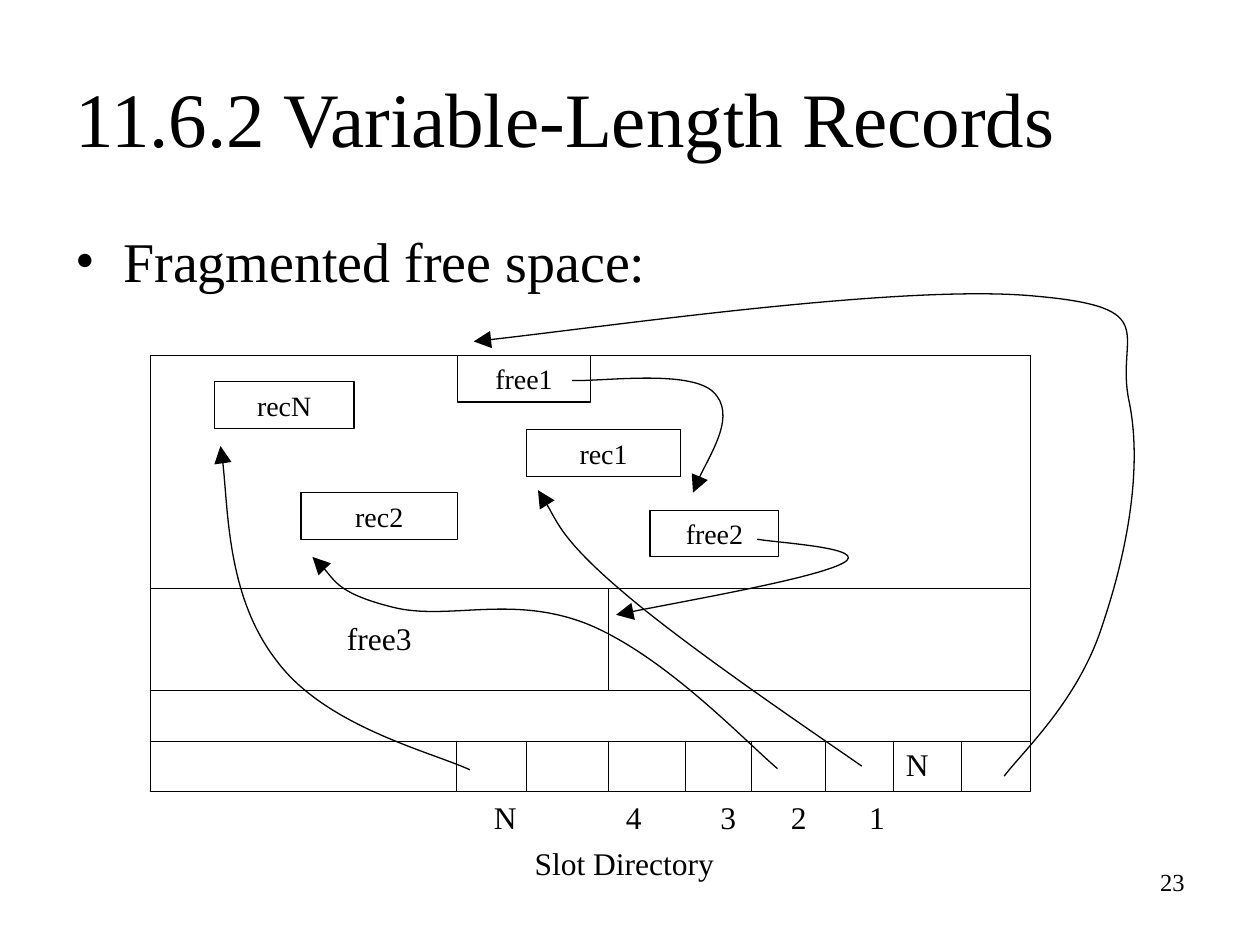
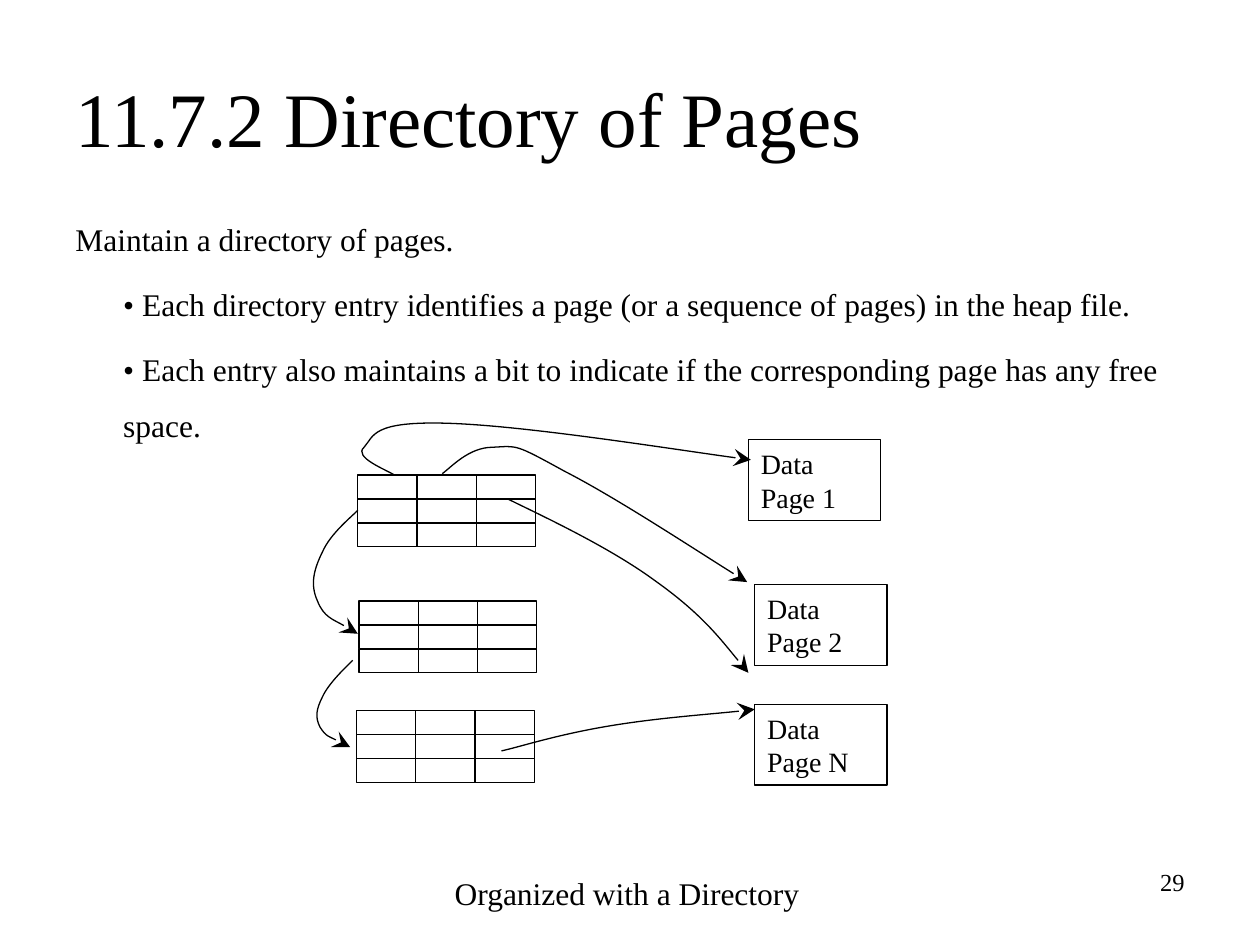
from lxml.etree import SubElement
from pptx import Presentation
from pptx.dml.color import RGBColor
from pptx.enum.shapes import MSO_SHAPE
from pptx.enum.text import MSO_ANCHOR, MSO_AUTO_SIZE, PP_ALIGN
from pptx.oxml import parse_xml
from pptx.oxml.ns import nsdecls, qn
from pptx.util import Inches, Pt

FONT = "Times New Roman"
BLACK = "000000"
LINE_WIDTH = Pt(0.75)
CELL_BORDER = Pt(0.45)
NO_STYLE_NO_GRID = "{2D5ABB26-0587-4C30-8999-92F81FD0307C}"


def write(frame, lines, size, alignment=PP_ALIGN.LEFT, anchor=MSO_ANCHOR.TOP):
    """Fill a text frame or table cell with one paragraph per line."""
    frame.word_wrap = True
    frame.vertical_anchor = anchor
    text_frame = getattr(frame, "text_frame", frame)
    for index, line in enumerate(lines):
        paragraph = text_frame.paragraphs[0] if index == 0 else text_frame.add_paragraph()
        paragraph.alignment = alignment
        run = paragraph.add_run()
        run.text = line
        run.font.name = FONT
        run.font.size = Pt(size)
        run.font.color.rgb = RGBColor.from_string(BLACK)


def outline(shape):
    """Leave a shape unfilled, with a thin black line and no shadow."""
    shape.shadow.inherit = False
    shape.fill.background()
    shape.line.color.rgb = RGBColor.from_string(BLACK)
    shape.line.width = LINE_WIDTH


presentation = Presentation()
presentation.slide_width = Inches(10)
presentation.slide_height = Inches(7.5)
title_only = presentation.slide_layouts[5]

# Titles and page numbers
slides = []
for title_text, page_number in [
    ("11.6.2 Variable-Length Records", "23"),
    ("11.7.2 Directory of Pages", "29"),
]:
    slide = presentation.slides.add_slide(title_only)
    title = slide.shapes.title
    title.left, title.top = Inches(0.5), Inches(0.3)
    title.width, title.height = Inches(9), Inches(1.25)
    write(title.text_frame, [title_text], 44, anchor=MSO_ANCHOR.MIDDLE)
    title.text_frame.auto_size = MSO_AUTO_SIZE.NONE
    number = slide.shapes.add_textbox(Inches(7.17), Inches(6.83), Inches(2.33), Inches(0.52))
    write(number.text_frame, [page_number], 14, PP_ALIGN.RIGHT)
    slides.append(slide)
records_slide, directory_slide = slides

# Body text and captions
body = records_slide.shapes.add_textbox(Inches(0.5), Inches(1.75), Inches(9), Inches(4.95))
write(body.text_frame, ["Fragmented free space:"], 32)
paragraph = body.text_frame.paragraphs[0]
paragraph.space_before = Pt(8)
properties = paragraph._p.get_or_add_pPr()
properties.set("marL", str(Inches(0.38)))
properties.set("indent", str(-Inches(0.38)))
SubElement(properties, qn("a:buFont"), typeface=FONT)
SubElement(properties, qn("a:buChar"), char="•")

body = directory_slide.shapes.add_textbox(Inches(0.5), Inches(1.55), Inches(9), Inches(4.95))
write(body.text_frame, [
    "Maintain a directory of pages.",
    "• Each directory entry identifies a page (or a sequence of pages) in the heap file.",
    "• Each entry also maintains a bit to indicate if the corresponding page has any free space.",
], 18)
for index, paragraph in enumerate(body.text_frame.paragraphs):
    paragraph.line_spacing = 1.5
    paragraph.space_before = Pt(4.5)
    if index > 0:
        paragraph._p.get_or_add_pPr().set("marL", str(Inches(0.38)))

for slide, caption, left, top, width, alignment in [
    (records_slide, "Slot Directory", 3.07, 6.65, 3.77, PP_ALIGN.CENTER),
    (directory_slide, "Organized with a Directory", 3.51, 6.89, 3.62, PP_ALIGN.LEFT),
]:
    box = slide.shapes.add_textbox(Inches(left), Inches(top), Inches(width), Inches(0.4))
    write(box.text_frame, [caption], 18, alignment)

# Page layout table with the slot directory in its fourth row
column_widths = [2.43, 0.56, 0.65, 0.61, 0.52, 0.59, 0.54, 0.54, 0.55]
row_heights = [1.85, 0.81, 0.4, 0.4, 0.43]
row_sides = ["LRT", "LRTB", "LRB", "LRTB", "T"]
free3_columns = 3
page_table = records_slide.shapes.add_table(
    len(row_heights), len(column_widths), Inches(1.19), Inches(2.82), Inches(7), Inches(3.91)
).table
page_table.first_row = page_table.horz_banding = False
page_table._tbl.tblPr.find(qn("a:tableStyleId")).text = NO_STYLE_NO_GRID
for column, width in zip(page_table.columns, column_widths):
    column.width = Inches(width)
for row_index, height in enumerate(row_heights):
    page_table.rows[row_index].height = Inches(height)
    for column_index, cell in enumerate(page_table.rows[row_index].cells):
        beside_free3 = row_index == 1 and column_index >= free3_columns
        sides = "LR" if beside_free3 else row_sides[row_index]
        cell.margin_top = cell.margin_bottom = Inches(0.04)
        cell_properties = cell._tc.get_or_add_tcPr()
        for position, side in enumerate(sides):
            cell_properties.insert(position, parse_xml(
                f'<a:ln{side} {nsdecls("a")} w="{CELL_BORDER}"><a:solidFill>'
                f'<a:srgbClr val="{BLACK}"/></a:solidFill></a:ln{side}>'
            ))
        cell.fill.background()
for row_index, first, last in [(0, 0, 8), (1, 0, 2), (1, 3, 8), (2, 0, 8), (4, 0, 8)]:
    page_table.cell(row_index, first).merge(page_table.cell(row_index, last))
write(page_table.cell(1, 0), ["free3"], 18, PP_ALIGN.CENTER, MSO_ANCHOR.MIDDLE)
write(page_table.cell(3, 7), ["N"], 18, anchor=MSO_ANCHOR.MIDDLE)
slot_labels = page_table.cell(4, 0)
write(slot_labels, ["\tN\t4\t3\t2\t1"], 18, anchor=MSO_ANCHOR.MIDDLE)
tab_list = SubElement(slot_labels.text_frame.paragraphs[0]._p.get_or_add_pPr(), qn("a:tabLst"))
for tab_position in [2.72, 3.74, 4.49, 5.05, 5.67]:
    SubElement(tab_list, qn("a:tab"), pos=str(Inches(tab_position)), algn="ctr")

# Records, free blocks and data pages
for slide, lines, left, top, width, height in [
    (records_slide, ["recN"], 1.7, 3.03, 1.11, 0.37),
    (records_slide, ["rec2"], 2.39, 3.91, 1.24, 0.37),
    (records_slide, ["rec1"], 4.18, 3.41, 1.22, 0.37),
    (records_slide, ["free1"], 3.63, 2.82, 1.06, 0.37),
    (records_slide, ["free2"], 5.16, 4.05, 1.02, 0.37),
    (directory_slide, ["Data", "Page 1"], 5.94, 3.49, 1.05, 0.64),
    (directory_slide, ["Data", "Page 2"], 5.99, 4.64, 1.05, 0.64),
    (directory_slide, ["Data", "Page N"], 5.99, 5.59, 1.05, 0.64),
]:
    box = slide.shapes.add_shape(
        MSO_SHAPE.RECTANGLE, Inches(left), Inches(top), Inches(width), Inches(height)
    )
    outline(box)
    alignment = PP_ALIGN.CENTER if slide is records_slide else PP_ALIGN.LEFT
    write(box.text_frame, lines, 16, alignment, MSO_ANCHOR.MIDDLE)

# Directory blocks of three by three entries
entry_width, entry_height = 0.47, 0.19
for block_left, block_top in [(2.84, 3.77), (2.85, 4.77), (2.83, 5.64)]:
    block = directory_slide.shapes.add_group_shape()
    for row_index in range(3):
        for column_index in range(3):
            entry = block.shapes.add_shape(
                MSO_SHAPE.RECTANGLE,
                Inches(block_left + column_index * entry_width),
                Inches(block_top + row_index * entry_height),
                Inches(entry_width), Inches(entry_height),
            )
            outline(entry)

# Curved pointers: a start point, then two control points and an end per segment
record_pointers = [
    [(3.73, 6.11), (3.43, 5.97), (2.59, 5.77), (2.2, 5.25),
     (1.8, 4.74), (1.81, 3.87), (1.75, 3.54)],
    [(6.17, 6.1), (5.9, 5.87), (5.29, 5.22), (4.68, 4.96), (4.07, 4.71),
     (3.56, 4.93), (3.12, 4.82), (2.68, 4.71), (2.58, 4.5), (2.48, 4.42)],
    [(6.84, 6.08), (6.48, 5.83), (5.49, 5.16), (4.97, 4.72),
     (4.46, 4.29), (4.37, 4.03), (4.27, 3.89)],
    [(7.97, 6.16), (8.12, 5.96), (8.56, 5.56), (8.75, 4.96), (8.95, 4.37),
     (9.07, 3.7), (8.96, 3.18), (8.85, 2.65), (9.25, 2.44), (8.21, 2.35),
     (7.17, 2.25), (4.63, 2.62), (3.76, 2.71)],
    [(4.54, 3.02), (4.77, 3.03), (5.47, 2.93), (5.66, 3.11),
     (5.85, 3.29), (5.55, 3.75), (5.5, 3.91)],
    [(6.01, 4.28), (6.18, 4.31), (6.92, 4.35), (6.69, 4.47),
     (6.47, 4.59), (5.27, 4.8), (4.89, 4.88)],
]
directory_pointers = [
    [(2.84, 4.05), (2.78, 4.11), (2.62, 4.24), (2.56, 4.38), (2.49, 4.52),
     (2.46, 4.64), (2.52, 4.77), (2.57, 4.9), (2.77, 4.98), (2.84, 5.03)],
    [(2.8, 5.24), (2.75, 5.29), (2.61, 5.42), (2.56, 5.53), (2.51, 5.63),
     (2.5, 5.69), (2.54, 5.77), (2.59, 5.85), (2.73, 5.9), (2.78, 5.93)],
    [(3.13, 3.77), (3.07, 3.73), (2.8, 3.63), (2.89, 3.55), (2.97, 3.46),
     (2.95, 3.34), (3.56, 3.36), (4.18, 3.38), (5.49, 3.59), (5.96, 3.65)],
    [(3.51, 3.76), (3.58, 3.71), (3.72, 3.55), (3.91, 3.55), (4.11, 3.54),
     (4.08, 3.52), (4.48, 3.74), (4.89, 3.95), (5.65, 4.45), (5.93, 4.62)],
    [(4.03, 3.96), (4.25, 4.07), (4.82, 4.33), (5.2, 4.61),
     (5.58, 4.88), (5.82, 5.2), (5.94, 5.34)],
    [(3.98, 5.96), (4.12, 5.93), (4.39, 5.84), (4.79, 5.77),
     (5.19, 5.7), (5.77, 5.66), (5.99, 5.63)],
]
for slide, arrowhead, pointers in [
    (records_slide, "triangle", record_pointers),
    (directory_slide, "stealth", directory_pointers),
]:
    for pointer_points in pointers:
        start, *points = [(Inches(x), Inches(y)) for x, y in pointer_points]
        builder = slide.shapes.build_freeform(*start)
        builder.add_line_segments(points, close=False)
        pointer = builder.convert_to_shape()
        outline(pointer)
        SubElement(pointer.line._get_or_add_ln(), qn("a:tailEnd"),
                   type=arrowhead, w="lg", len="lg")
        # Each three straight segments become one cubic curve
        segments = list(pointer._element.iter(qn("a:lnTo")))
        for first in range(0, len(segments), 3):
            curve = SubElement(segments[first].getparent(), qn("a:cubicBezTo"))
            for segment in segments[first:first + 3]:
                curve.append(segment[0])
                segment.getparent().remove(segment)

presentation.save("out.pptx")
